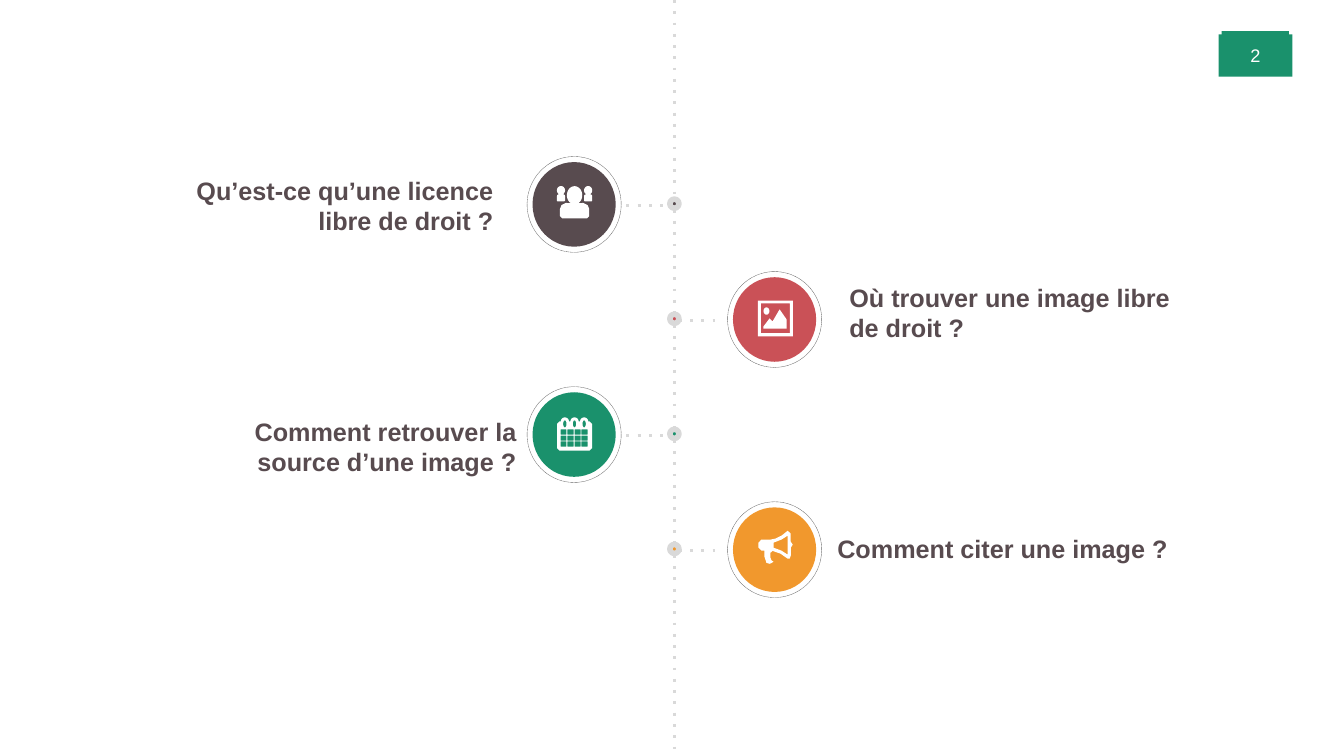
import math

from lxml import etree
from pptx import Presentation
from pptx import util as u
from pptx.dml.color import RGBColor
from pptx.enum import shapes, text
from pptx.oxml.ns import qn

BROWN, RED, GREEN, ORANGE = "584B4F", "CA5157", "1A916C", "F1982D"
WHITE, PALE, GREY = "FFFFFF", "D9D9D9", "666666"
AXIS, SLIDE_HEIGHT = 481.7, 540
FIRST_ROW, ROW_STEP = 146, 82.2


def color(value):
    return RGBColor.from_string(value)


def arc(x, y, rx, ry, start=0, end=360):
    """Points along an ellipse, clockwise, angles in degrees from the right."""
    angles = [math.radians(start + (end - start) * i / 24) for i in range(25)]
    return [(x + rx * math.cos(a), y + ry * math.sin(a)) for a in angles]


def box(x, y, width, height):
    return [(x, y), (x + width, y), (x + width, y + height), (x, y + height)]


def person(x, y, rx, ry, half, shoulder, bottom):
    """One outline: a head open at the neck, then shoulders and body."""
    right = [(0.6, shoulder), (0.9, shoulder + half * 0.15), (1, shoulder + half * 0.4),
             (1, bottom - half * 0.15), (0.85, bottom)]
    return (arc(x, y, rx, ry, 120, 420)
            + [(x + half * k, py) for k, py in right]
            + [(x - half * k, py) for k, py in reversed(right)])


def people_icon():
    sides = [person(0.3 + dx, -10, 2.9, 3.1, 2.9, -7.2, -2.2) for dx in (-9.7, 9.7)]
    return sides + [person(0.3, -6.5, 5.5, 6.5, 10.4, -1, 10)]


def picture_icon():
    mountains = [(8.6, 6.5), (-7.9, 6.5), (-7.9, 5), (-3.6, -0.7),
                 (-1.4, 1.4), (3.6, -7.2), (8.6, 0)]
    return [box(-12, -13.5, 25, 25.5), box(-9.8, -11.4, 20.8, 21.2),
            arc(-5.8, -6, 2.1, 2.6), mountains]


def calendar_icon():
    rings = (-6.6, 0.3, 7.2)
    page = [(-12.2, 9.8), (-12.2, -7.6), (-10.4, -9.4)]
    for x in rings:
        page += arc(x, -9.4, 2.9, 2.8, 180, 360)
    page += [(11, -9.4), (12.8, -7.6), (12.8, 9.8), (11, 11.5), (-10.4, 11.5)]
    holes = [arc(x, -7.6, 1.2, 2.5) for x in rings]
    days = [box(-9.7 + 5 * i, -3.6 + 4.3 * j, 4.3, 3.6)
            for i in range(4) for j in range(3)]
    return [page] + holes + days


def megaphone_icon():
    outline = [(13, -3.6), (11.6, -1.4), (11.6, 4.3), (10.8, 6.5), (9.4, 6.5),
               (4.3, 2.9), (-1.4, 0.9), (-2.9, 2.2), (-2.9, 5.8), (-2.2, 7.6),
               (-0.7, 8.6), (-2.2, 9.6), (-3.6, 10.1), (-5.8, 9.4), (-6.5, 7.2),
               (-7.2, 5), (-7.2, 0.7), (-9.4, 0.7), (-11.5, -1.4), (-11.5, -5),
               (-9.4, -7.2), (-2.9, -7.2), (0.7, -7.9), (5, -10), (9.4, -13.5),
               (11.5, -11.5), (11.5, -5.8)]
    mouth = [(9.4, -10), (5, -7.2), (-0.7, -5), (-0.7, -1.4), (5, 0.7), (9.4, 3.6)]
    return [outline, mouth]


class Timeline:
    font = "Arial"

    def __init__(self, slide):
        self.shapes = slide.shapes

    def style_line(self, shape, line_color, width, dash=None):
        shape.line.color.rgb = color(line_color)
        shape.line.width = u.Pt(width)
        if dash:
            outline = shape._element.spPr.find(qn("a:ln"))
            etree.SubElement(outline, qn("a:prstDash")).set("val", dash)

    def style_fill(self, shape, fill):
        shape.shadow.inherit = False
        if fill:
            shape.fill.solid()
            shape.fill.fore_color.rgb = color(fill)
        else:
            shape.fill.background()
        shape.line.fill.background()

    def shape(self, kind, x, y, width, height, fill=None):
        shape = self.shapes.add_shape(kind, u.Pt(x), u.Pt(y), u.Pt(width), u.Pt(height))
        self.style_fill(shape, fill)
        return shape

    def ellipse(self, x, y, width, height, fill=None):
        """An ellipse placed by its centre."""
        return self.shape(shapes.MSO_SHAPE.OVAL, x - width / 2, y - height / 2,
                          width, height, fill)

    def dotted_line(self, x1, y1, x2, y2):
        line = self.shapes.add_connector(shapes.MSO_CONNECTOR.STRAIGHT,
                                         u.Pt(x1), u.Pt(y1), u.Pt(x2), u.Pt(y2))
        self.style_line(line, PALE, 2, "dot")
        etree.SubElement(line._element.spPr, qn("a:effectLst"))

    def icon(self, x, y, contours):
        moved = [[(u.Pt(x + px), u.Pt(y + py)) for px, py in c] for c in contours]
        builder = self.shapes.build_freeform(*moved[0][0], scale=1.0)
        for index, points in enumerate(moved):
            if index:
                builder.move_to(*points[0])
            builder.add_line_segments(points[1:], close=True)
        self.style_fill(builder.convert_to_shape(), WHITE)

    def set_text(self, shape, words, size, font_color, align, insets, bold=False, wrap=True):
        frame = shape.text_frame
        frame.word_wrap = wrap
        frame.auto_size = text.MSO_AUTO_SIZE.SHAPE_TO_FIT_TEXT
        frame.margin_left = frame.margin_right = u.Pt(insets[0])
        frame.margin_top = frame.margin_bottom = u.Pt(insets[1])
        paragraph = frame.paragraphs[0]
        paragraph.text = words
        paragraph.alignment = align
        paragraph.font.name = self.font
        paragraph.font.size = u.Pt(size)
        paragraph.font.bold = bold
        paragraph.font.color.rgb = color(font_color)

    def question(self, x, y, width, height, words, align, wrap):
        label = self.shapes.add_textbox(u.Pt(x), u.Pt(y), u.Pt(width), u.Pt(height))
        self.set_text(label, words, 18, BROWN, align, (5.5, 2.88), True, wrap)

    def page_number(self, number):
        rectangle = shapes.MSO_SHAPE.RECTANGLE
        self.shape(rectangle, 872.6, 22.3, 48.2, 28.8, GREEN)
        tab = self.shape(rectangle, 870.5, 24.5, 52.6, 30.2, GREEN)
        self.set_text(tab, number, 13, WHITE, text.PP_ALIGN.CENTER, (14.4, 7.2), wrap=False)

    def stop(self, y, side, fill, contours):
        """A badge beside the axis; side is -1 for left and 1 for right."""
        x = AXIS + side * 71.6
        start, end = sorted((AXIS + side * 3.2, AXIS + side * 34.2))
        self.dotted_line(start, y + 0.7, end, y + 0.7)
        self.style_line(self.ellipse(AXIS, y - 0.5, 6.5, 6.5, fill), PALE, 4)
        self.ellipse(x, y, 59.4, 60.4, fill)
        self.style_line(self.ellipse(x, y, 67.2, 68.4), GREY, 0.25, "sysDash")
        self.icon(x, y, contours)


def main():
    presentation = Presentation()
    presentation.slide_width, presentation.slide_height = u.Pt(960), u.Pt(SLIDE_HEIGHT)
    timeline = Timeline(presentation.slides.add_slide(presentation.slide_layouts[6]))
    timeline.page_number("2")

    left, right = text.PP_ALIGN.LEFT, text.PP_ALIGN.RIGHT
    stops = [
        (BROWN, people_icon(),
         (96.5, 122.4, 261.4, 49, "Qu’est-ce qu’une licence libre de droit ?", right, True)),
        (RED, picture_icon(),
         (601.2, 198.7, 241.2, 49, "Où trouver une image libre de droit ?", left, True)),
        (GREEN, calendar_icon(),
         (115.9, 294.5, 258.5, 49, "Comment retrouver la source d’une image ?", right, True)),
        (ORANGE, megaphone_icon(),
         (592.6, 378, 254.2, 27.4, "Comment citer une image ?", left, False)),
    ]
    top = 0
    for index, (fill, contours, question) in enumerate(stops):
        y = FIRST_ROW + index * ROW_STEP
        timeline.dotted_line(AXIS, top, AXIS, y - 4.8)
        timeline.stop(y, 1 if index % 2 else -1, fill, contours)
        timeline.question(*question)
        top = y + 3.8
    timeline.dotted_line(AXIS, top, AXIS, SLIDE_HEIGHT)
    presentation.save("out.pptx")


if __name__ == "__main__":
    main()
